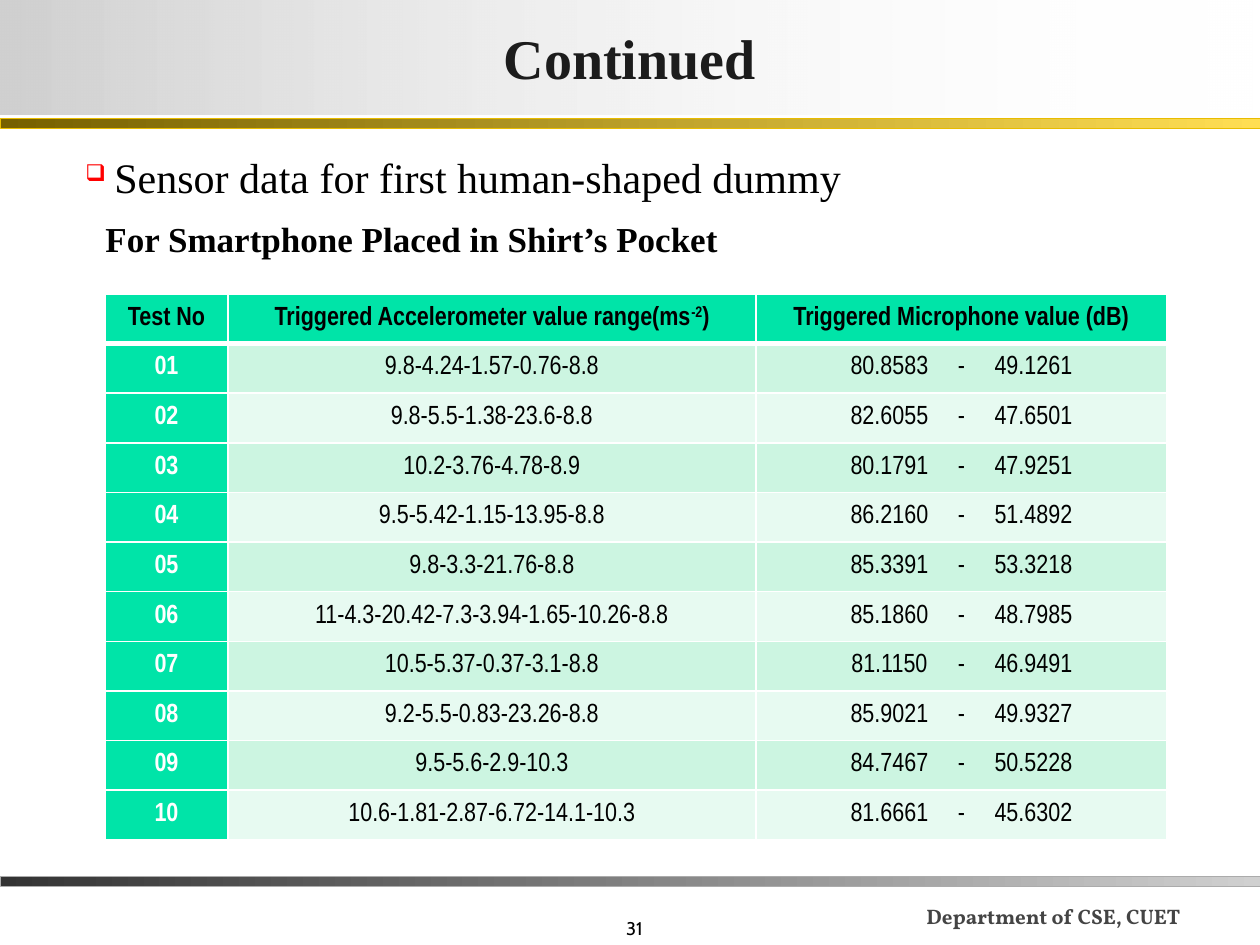
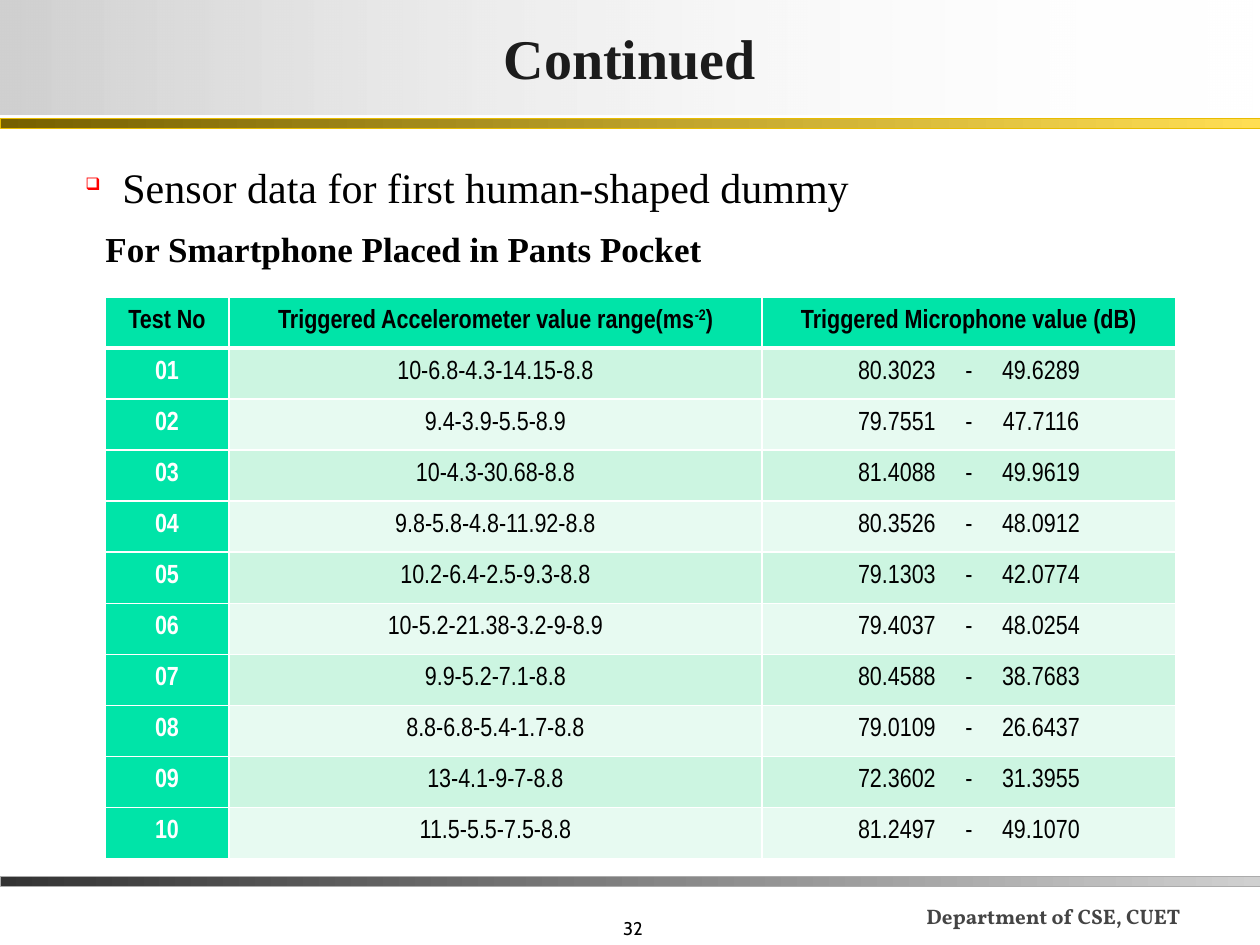
from lxml import etree
from pptx import Presentation
from pptx.dml.color import RGBColor
from pptx.enum.shapes import MSO_SHAPE
from pptx.enum.text import MSO_ANCHOR, PP_ALIGN
from pptx.oxml.ns import qn
from pptx.util import Pt

RECTANGLE = MSO_SHAPE.RECTANGLE
LEFT, CENTER, RIGHT = PP_ALIGN.LEFT, PP_ALIGN.CENTER, PP_ALIGN.RIGHT
TOP, MIDDLE, BOTTOM = MSO_ANCHOR.TOP, MSO_ANCHOR.MIDDLE, MSO_ANCHOR.BOTTOM

# Shared look
PX_PER_INCH = 126
SLIDE_WIDTH, SLIDE_HEIGHT = 1260, 945
SERIF, TABLE_FONT = "Times New Roman", "Arial Narrow"
BLACK, WHITE, RED = "000000", "FFFFFF", "FF0000"
TITLE_COLOR, FOOTER_COLOR = "1C1C1C", "444444"
GREEN, BAND_DARK, BAND_LIGHT = "00E4A8", "CCF5E1", "E7FAF1"
BANDS = [  # top, height, gradient start, gradient end, line
    (118, 10, "766000", "FFDE53", "E8BC00"),
    (876, 10, "333333", "D0D0D0", "ABABAB"),
]

# Content
TITLE = "Continued"
TOPIC = "Sensor data for first human-shaped dummy"
DEPARTMENT = "Department of CSE, CUET"
HEADERS = [
    [("Test No", False)],
    [("Triggered Accelerometer value range(ms", False), ("-2", True), (")", False)],
    [("Triggered Microphone value (dB)", False)],
]
SLIDES = [
    {
        "number": "31", "body_top": 145, "topic_indent": 77, "bullet_percent": 55,
        "placement": "For Smartphone Placed in Shirt’s Pocket",
        "table_top": 294, "table_height": 546, "columns": [123, 528, 411],
        "tests": [
            ("9.8-4.24-1.57-0.76-8.8", "80.8583", "49.1261"),
            ("9.8-5.5-1.38-23.6-8.8", "82.6055", "47.6501"),
            ("10.2-3.76-4.78-8.9", "80.1791", "47.9251"),
            ("9.5-5.42-1.15-13.95-8.8", "86.2160", "51.4892"),
            ("9.8-3.3-21.76-8.8", "85.3391", "53.3218"),
            ("11-4.3-20.42-7.3-3.94-1.65-10.26-8.8", "85.1860", "48.7985"),
            ("10.5-5.37-0.37-3.1-8.8", "81.1150", "46.9491"),
            ("9.2-5.5-0.83-23.26-8.8", "85.9021", "49.9327"),
            ("9.5-5.6-2.9-10.3", "84.7467", "50.5228"),
            ("10.6-1.81-2.87-6.72-14.1-10.3", "81.6661", "45.6302"),
        ],
    },
    {
        "number": "32", "body_top": 155, "topic_indent": 85, "bullet_percent": 41,
        "placement": "For Smartphone Placed in Pants Pocket",
        "table_top": 297, "table_height": 562, "columns": [124, 533, 414],
        "tests": [
            ("10-6.8-4.3-14.15-8.8", "80.3023", "49.6289"),
            ("9.4-3.9-5.5-8.9", "79.7551", "47.7116"),
            ("10-4.3-30.68-8.8", "81.4088", "49.9619"),
            ("9.8-5.8-4.8-11.92-8.8", "80.3526", "48.0912"),
            ("10.2-6.4-2.5-9.3-8.8", "79.1303", "42.0774"),
            ("10-5.2-21.38-3.2-9-8.9", "79.4037", "48.0254"),
            ("9.9-5.2-7.1-8.8", "80.4588", "38.7683"),
            ("8.8-6.8-5.4-1.7-8.8", "79.0109", "26.6437"),
            ("13-4.1-9-7-8.8", "72.3602", "31.3955"),
            ("11.5-5.5-7.5-8.8", "81.2497", "49.1070"),
        ],
    },
]
TABLE_LEFT, CELL_MARGIN, TAB_GAP = 105, 9, 72


def px(length):
    return round(length * 914400 / PX_PER_INCH)


def color(value):
    return RGBColor.from_string(value)


def add_element(parent, tag, **attributes):
    element = etree.SubElement(parent, qn(tag))
    for name, value in attributes.items():
        element.set(name, str(value))
    return element


def style(paragraph, font_name, size, font_color, bold=False, align=LEFT):
    font = paragraph.font
    font.name, font.size, font.bold = font_name, Pt(size), bold
    font.color.rgb = color(font_color)
    paragraph.alignment = align


def add_gradient_bar(slide, top, height, start, end, line=None):
    shape = slide.shapes.add_shape(RECTANGLE, 0, px(top), px(SLIDE_WIDTH), px(height))
    shape.shadow.inherit = False
    shape.fill.gradient()
    shape.fill.gradient_angle = 0
    for stop, stop_color in zip(shape.fill.gradient_stops, (start, end)):
        stop.color.rgb = color(stop_color)
    if line:
        shape.line.color.rgb = color(line)
        shape.line.width = Pt(0.25)
    else:
        shape.line.fill.background()
    return shape


def add_text_box(slide, left, top, width, height, anchor=TOP):
    box = slide.shapes.add_textbox(px(left), px(top), px(width), px(height))
    box.text_frame.word_wrap = True
    box.text_frame.vertical_anchor = anchor
    return box.text_frame


def add_frame(slide, number):
    """Title, bands and footer found on every slide."""
    title = add_gradient_bar(slide, 0, 115, "D0D0D0", WHITE)
    last_stop = title.element.findall(".//" + qn("a:gs"))[-1]
    add_element(last_stop[0], "a:alpha", val=0)
    title.text_frame.vertical_anchor = MIDDLE
    title.text_frame.text = TITLE
    style(title.text_frame.paragraphs[0], SERIF, 32, TITLE_COLOR, True, CENTER)
    for band in BANDS:
        add_gradient_bar(slide, *band)

    page = add_text_box(slide, 393, 882, 262, 63, BOTTOM)
    page.text = number
    style(page.paragraphs[0], "Cabin", 10.5, BLACK, align=RIGHT)
    department = add_text_box(slide, 837, 857, 433, 78, BOTTOM)
    department.text = DEPARTMENT
    style(department.paragraphs[0], "Vollkorn", 12, FOOTER_COLOR, True, CENTER)


def add_body(slide, content):
    body = add_text_box(slide, 25, content["body_top"], 1191, 116)
    topic, placement = body.paragraphs[0], body.add_paragraph()
    topic.text, placement.text = TOPIC, content["placement"]
    style(topic, SERIF, 24, BLACK)
    style(placement, SERIF, 20, BLACK, True)
    topic.space_before, placement.space_before = Pt(5), Pt(9)

    # Hanging bullet, and the line below indented to sit under it
    indent, bullet_left = content["topic_indent"], 48
    properties = topic._p.get_or_add_pPr()
    properties.set("marL", str(px(indent)))
    properties.set("indent", str(px(bullet_left - indent)))
    add_element(add_element(properties, "a:buClr"), "a:srgbClr", val=RED)
    add_element(properties, "a:buSzPct", val=content["bullet_percent"] * 1000)
    add_element(properties, "a:buChar", char="❑")
    # a:defRPr has to follow the bullet settings
    default_font = properties.find(qn("a:defRPr"))
    if default_font is not None:
        properties.append(default_font)
    placement._p.get_or_add_pPr().set("marL", str(px(68)))


def add_borders(cell, row):
    properties = cell._tc.get_or_add_tcPr()
    widths = {"a:lnL": 1, "a:lnR": 1,
              "a:lnT": 3 if row == 1 else 1, "a:lnB": 3 if row == 0 else 1}
    for position, (tag, width) in enumerate(widths.items()):
        line = add_element(properties, tag, w=Pt(width))
        add_element(add_element(line, "a:solidFill"), "a:srgbClr", val=WHITE)
        properties.insert(position, line)


def add_center_tabs(paragraph, column_width):
    """Three centred stops, the middle one on the column's centre."""
    properties = paragraph._p.get_or_add_pPr()
    tabs = add_element(properties, "a:tabLst")
    middle = column_width / 2 - CELL_MARGIN
    for offset in (-TAB_GAP, 0, TAB_GAP):
        add_element(tabs, "a:tab", pos=px(middle + offset), algn="ctr")
    default_font = properties.find(qn("a:defRPr"))
    if default_font is not None:
        properties.append(default_font)


def add_test_table(slide, content):
    columns, tests = content["columns"], content["tests"]
    rows = [HEADERS] + [
        [[(text, False)] for text in (f"{number:02}", acceleration, f"\t{high}\t-\t{low}")]
        for number, (acceleration, high, low) in enumerate(tests, 1)
    ]
    table = slide.shapes.add_table(
        len(rows), len(columns), px(TABLE_LEFT), px(content["table_top"]),
        px(sum(columns)), px(content["table_height"])).table
    for column, width in zip(table.columns, columns):
        column.width = px(width)

    for r, row in enumerate(rows):
        for c, runs in enumerate(row):
            cell = table.cell(r, c)
            cell.margin_left = cell.margin_right = px(CELL_MARGIN)
            cell.margin_top = cell.margin_bottom = 0
            heading = r == 0 or c == 0
            cell.fill.solid()
            cell.fill.fore_color.rgb = color(
                GREEN if heading else BAND_DARK if r % 2 else BAND_LIGHT)
            add_borders(cell, r)

            paragraph = cell.text_frame.paragraphs[0]
            paragraph.line_spacing = 1.5
            is_range = r > 0 and c == 2
            for text, raised in runs:
                run = paragraph.add_run()
                run.text = text
                run.font.name, run.font.size, run.font.bold = TABLE_FONT, Pt(15), heading
                run.font.color.rgb = color(WHITE if r and c == 0 else BLACK)
                if raised:
                    run._r.get_or_add_rPr().set("baseline", "30000")
            paragraph.alignment = LEFT if is_range else CENTER
            if is_range:
                add_center_tabs(paragraph, columns[c])


def main():
    presentation = Presentation()
    presentation.slide_width, presentation.slide_height = px(SLIDE_WIDTH), px(SLIDE_HEIGHT)
    for content in SLIDES:
        slide = presentation.slides.add_slide(presentation.slide_layouts[6])
        add_frame(slide, content["number"])
        add_body(slide, content)
        add_test_table(slide, content)
    presentation.save("out.pptx")


if __name__ == "__main__":
    main()
